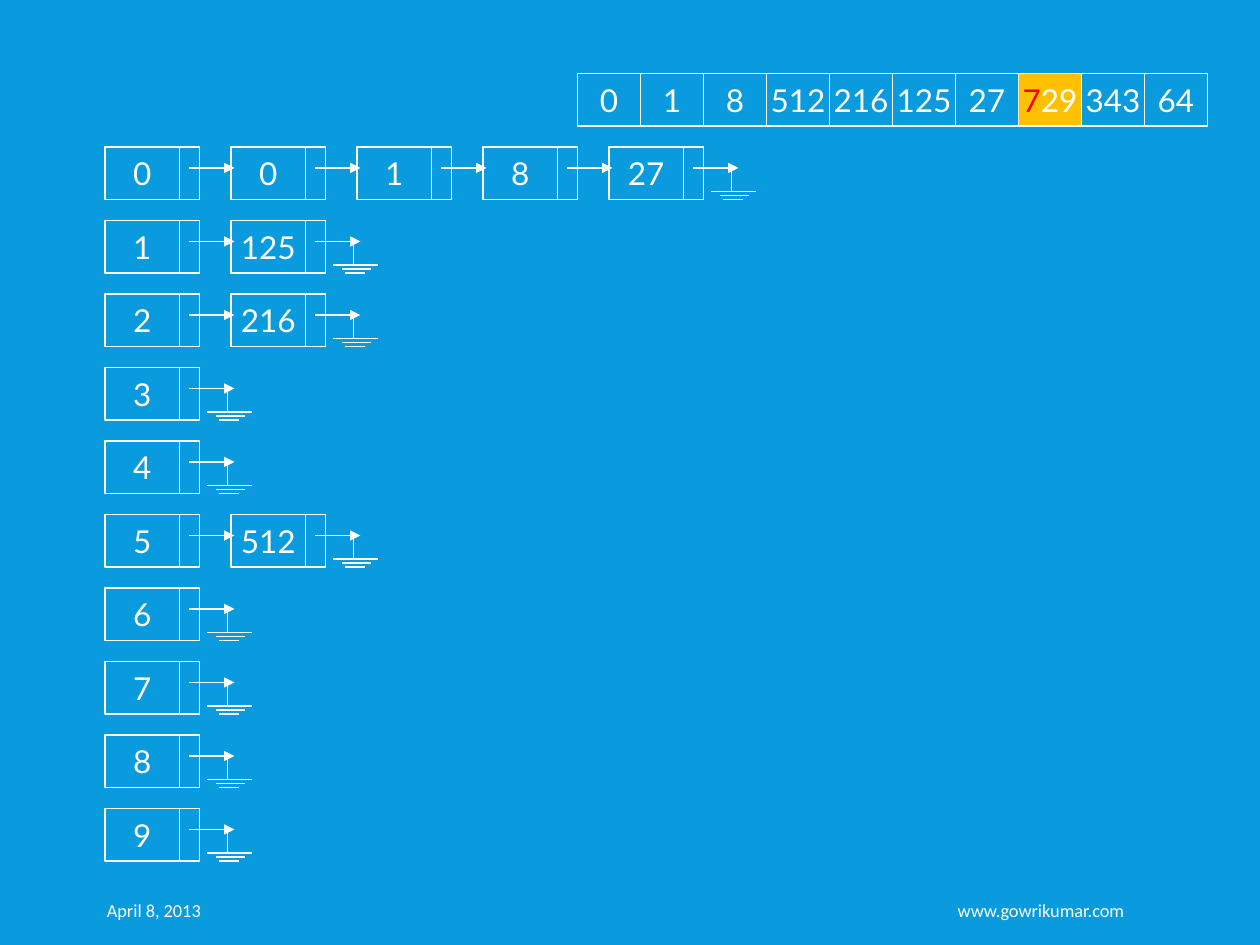
from lxml import etree
from pptx import Presentation
from pptx.dml.color import RGBColor
from pptx.enum.shapes import MSO_CONNECTOR, MSO_SHAPE
from pptx.enum.text import MSO_ANCHOR, PP_ALIGN
from pptx.oxml.ns import qn
from pptx.util import Pt

BLUE = RGBColor(0x09, 0x9B, 0xDD)
WHITE = RGBColor(0xFF, 0xFF, 0xFF)
AMBER = RGBColor(0xFF, 0xC0, 0x00)
RED = RGBColor(0xFF, 0x00, 0x00)

LINE_W = 0.75
CELL_H = 30
DATA_W, POINTER_W = 42.5, 11.5
NODE_PITCH, BUCKET_PITCH = 72, 42

INPUT = ["0", "1", "8", "512", "216", "125", "27", "729", "343", "64"]
CURRENT = "729"
BUCKETS = {0: ["0", "1", "8", "27"], 1: ["125"], 2: ["216"], 5: ["512"]}


def add_run(p, text, size, font, color=WHITE):
    r = p.add_run()
    r.text = text
    r.font.size = Pt(size)
    r.font.name = font
    r.font.color.rgb = color


def add_cell(shapes, x, y, w, runs=(), fill=None):
    """Outlined cell; runs holds (text, colour) pairs."""
    sp = shapes.add_shape(MSO_SHAPE.RECTANGLE, Pt(x), Pt(y), Pt(w), Pt(CELL_H))
    sp.shadow.inherit = False
    if fill is None:
        sp.fill.background()
    else:
        sp.fill.solid()
        sp.fill.fore_color.rgb = fill
    sp.line.color.rgb = WHITE
    sp.line.width = Pt(LINE_W)
    tf = sp.text_frame
    tf.word_wrap = False
    tf.vertical_anchor = MSO_ANCHOR.MIDDLE
    p = tf.paragraphs[0]
    p.alignment = PP_ALIGN.CENTER
    for text, color in runs:
        add_run(p, text, 18, "Lato", color)


def add_line(shapes, x1, y1, x2, y2, arrow=False):
    cx = shapes.add_connector(MSO_CONNECTOR.STRAIGHT, Pt(x1), Pt(y1), Pt(x2), Pt(y2))
    cx.line.color.rgb = WHITE
    cx.line.width = Pt(LINE_W)
    if arrow:
        etree.SubElement(cx.line._get_or_add_ln(), qn("a:tailEnd"), type="triangle")
    etree.SubElement(cx._element.spPr, qn("a:effectLst"))


def add_ground(shapes, x, y):
    """Null-pointer symbol for the node at x, y."""
    for left, right, dy in [(58.3, 84, 25.4), (63.2, 79.8, 27.7), (65.4, 76.8, 30)]:
        add_line(shapes, x + left, y + dy, x + right, y + dy)
    add_line(shapes, x + 70, y + 25.4, x + 70, y + 12)


def add_node(s, x, y, value, last):
    shapes = s.shapes.add_group_shape().shapes
    add_cell(shapes, x, y, DATA_W, [(value, WHITE)])
    add_cell(shapes, x + DATA_W, y, POINTER_W)
    add_line(shapes, x + 48, y + 12, x + 74, y + 12, arrow=True)
    if last:
        add_ground(shapes, x, y)


def add_buckets(s, x, y):
    for digit in range(10):
        chain = [str(digit)] + BUCKETS.get(digit, [])
        for i, value in enumerate(chain):
            add_node(s, x + i * NODE_PITCH, y + digit * BUCKET_PITCH, value,
                     last=i == len(chain) - 1)


def add_input_array(s, x, y, w):
    cell_w = w / len(INPUT)
    for i, value in enumerate(INPUT):
        if value == CURRENT:
            runs, fill = [(value[0], RED), (value[1:], WHITE)], AMBER
        else:
            runs, fill = [(value, WHITE)], None
        add_cell(s.shapes, x + i * cell_w, y, cell_w, runs, fill)


def add_footer(s, x, y, w, h, text, align, right_inset):
    tf = s.shapes.add_textbox(Pt(x), Pt(y), Pt(w), Pt(h)).text_frame
    tf.word_wrap = True
    tf.vertical_anchor = MSO_ANCHOR.MIDDLE
    tf.margin_right = Pt(right_inset)
    p = tf.paragraphs[0]
    p.alignment = align
    add_run(p, text, 10.5, "Calibri")


def main():
    prs = Presentation()
    prs.slide_width, prs.slide_height = Pt(720), Pt(540)
    s = prs.slides.add_slide(prs.slide_layouts[6])
    s.background.fill.solid()
    s.background.fill.fore_color.rgb = BLUE
    add_footer(s, 54, 505.8, 204.5, 28.8, "April 8, 2013", PP_ALIGN.LEFT, 3.6)
    add_footer(s, 330, 505.8, 319.5, 28.8, "www.gowrikumar.com", PP_ALIGN.RIGHT, 7.2)
    add_input_array(s, 330, 42, 360)
    add_buckets(s, 60, 84)
    prs.save("out.pptx")


if __name__ == "__main__":
    main()
